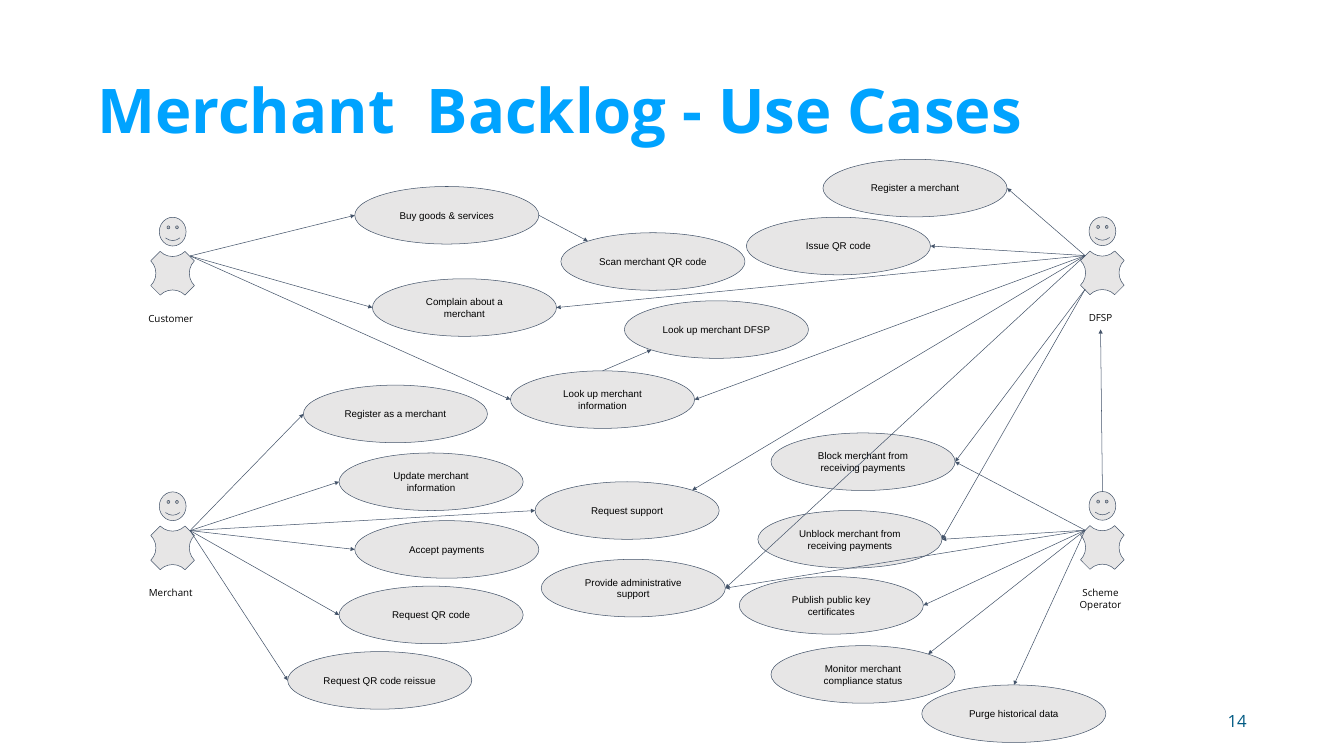
from math import cos, pi, sin

from lxml import etree
from pptx import Presentation
from pptx.dml.color import RGBColor
from pptx.enum.shapes import MSO_CONNECTOR, MSO_SHAPE
from pptx.enum.text import MSO_ANCHOR, MSO_AUTO_SIZE, PP_ALIGN
from pptx.oxml.ns import qn
from pptx.util import Cm, Pt

STRAIGHT = MSO_CONNECTOR.STRAIGHT
OVAL, SMILEY, PLAQUE = MSO_SHAPE.OVAL, MSO_SHAPE.SMILEY_FACE, MSO_SHAPE.PLAQUE
TOP, MIDDLE = MSO_ANCHOR.TOP, MSO_ANCHOR.MIDDLE
LEFT, CENTER, RIGHT = PP_ALIGN.LEFT, PP_ALIGN.CENTER, PP_ALIGN.RIGHT
GROW = MSO_AUTO_SIZE.SHAPE_TO_FIT_TEXT

INK, GREY, SLATE, BLUE, TEAL = "000000", "E7E6E6", "44546A", "00A3FF", "005A83"
CASE_W, CASE_H = 9.28, 2.9
HEAD_X, HEAD_W, HEAD_H = 1.35, 1.35, 1.45
BODY_X, BODY_Y, BODY_SIZE = 0.8, 1.6, 2.44
LABEL_Y, LABEL_W = 4.55, 3.86
HAND_Y, HIP_Y = 1.95, 3.65
LEFT_HAND_X, RIGHT_HAND_X = 2.9, 1.15

OVAL_SITES = ["top", "top left", "left", "bottom left",
              "bottom", "bottom right", "right", "top right"]

ACTORS = {
    "Customer": (6.68, 10.95, 1.12),
    "Merchant": (6.68, 24.79, 1.12),
    "DFSP": (53.54, 10.93, 1.12),
    "Scheme Operator": (53.54, 24.77, 1.7),
}

USE_CASES = {
    "Buy goods & services": (17.88, 9.4),
    "Scan merchant QR code": (28.27, 11.73),
    "Complain about a merchant": (18.77, 14.05),
    "Look up merchant information": (25.73, 18.69),
    "Look up merchant DFSP": (31.47, 15.16),
    "Register as a merchant": (15.29, 19.41),
    "Update merchant information": (17.09, 22.83),
    "Accept payments": (17.88, 26.24),
    "Request QR code": (17.09, 29.54),
    "Request QR code reissue": (14.5, 32.84),
    "Register a merchant": (41.48, 8.03),
    "Issue QR code": (37.62, 10.95),
    "Block merchant from receiving payments": (38.86, 21.82),
    "Unblock merchant from receiving payments": (38.2, 25.73),
    "Request support": (26.97, 24.28),
    "Provide administrative support": (27.28, 28.19),
    "Publish public key certificates": (37.26, 29.06),
    "Monitor merchant compliance status": (38.86, 32.54),
    "Purge historical data": (46.46, 34.52),
}

ACTOR_LINKS = [
    ("Customer", LEFT_HAND_X, HAND_Y, [
        ("Buy goods & services", "left"),
        ("Complain about a merchant", "left"),
        ("Look up merchant information", "left")]),
    ("Merchant", LEFT_HAND_X, HAND_Y, [
        ("Register as a merchant", "left"),
        ("Update merchant information", "left"),
        ("Accept payments", "left"),
        ("Request QR code", "left"),
        ("Request QR code reissue", "left"),
        ("Request support", "left")]),
    ("DFSP", RIGHT_HAND_X, HAND_Y, [
        ("Register a merchant", "right"),
        ("Issue QR code", "right"),
        ("Complain about a merchant", "right"),
        ("Look up merchant information", "right"),
        ("Request support", "top right"),
        ("Provide administrative support", "right")]),
    ("DFSP", RIGHT_HAND_X, HIP_Y, [
        ("Block merchant from receiving payments", "right"),
        ("Unblock merchant from receiving payments", "right")]),
    ("Scheme Operator", RIGHT_HAND_X, HAND_Y, [
        ("Block merchant from receiving payments", "right"),
        ("Unblock merchant from receiving payments", "right"),
        ("Publish public key certificates", "right"),
        ("Monitor merchant compliance status", "top right"),
        ("Purge historical data", "top"),
        ("Provide administrative support", "right")]),
]

CASE_LINKS = [
    ("Buy goods & services", "right", "Scan merchant QR code", "top left"),
    ("Look up merchant information", "top", "Look up merchant DFSP", "bottom left"),
]


def color(hex_string):
    return RGBColor.from_string(hex_string)


def write(shape, text, size=14, font="Open Sans", ink=INK, bold=False,
          align=CENTER, anchor=TOP, inset_y=0.25, spacing=1.0):
    frame = shape.text_frame
    frame.word_wrap = True
    frame.vertical_anchor = anchor
    frame.margin_left = frame.margin_right = Cm(0.25)
    frame.margin_top = frame.margin_bottom = Cm(inset_y)
    paragraph = frame.paragraphs[0]
    paragraph.alignment = align
    paragraph.line_spacing = spacing
    run = paragraph.add_run()
    run.text = text
    run.font.size = Pt(size)
    run.font.name = font
    run.font.bold = bold
    run.font.color.rgb = color(ink)


def add_text(slide, text, x, y, w, h, **style):
    box = slide.shapes.add_textbox(Cm(x), Cm(y), Cm(w), Cm(h))
    write(box, text, **style)
    return box


def add_figure(slide, preset, x, y, w, h):
    figure = slide.shapes.add_shape(preset, Cm(x), Cm(y), Cm(w), Cm(h))
    figure.shadow.inherit = False
    figure.fill.solid()
    figure.fill.fore_color.rgb = color(GREY)
    figure.line.color.rgb = color(SLATE)
    figure.line.width = Pt(0.75)
    return figure


def add_actor(slide, name, x, y, label_h):
    head = add_figure(slide, SMILEY, x + HEAD_X, y, HEAD_W, HEAD_H)
    head.adjustments[0] = 0.047
    body = add_figure(slide, PLAQUE, x + BODY_X, y + BODY_Y, BODY_SIZE, BODY_SIZE)
    body.adjustments[0] = 0.362
    body.rotation = 315
    label = add_text(slide, name, x, y + LABEL_Y, LABEL_W, label_h)
    label.text_frame.auto_size = GROW
    return head, label


def add_use_case(slide, name, x, y):
    use_case = add_figure(slide, OVAL, x, y, CASE_W, CASE_H)
    write(use_case, name, font="Arial", anchor=MIDDLE)
    return use_case


def oval_point(name, site):
    x, y = USE_CASES[name]
    angle = pi / 2 + OVAL_SITES.index(site) * pi / 4
    return x + CASE_W / 2 * (1 + cos(angle)), y + CASE_H / 2 * (1 - sin(angle))


def add_arrow(slide, start, end):
    arrow = slide.shapes.add_connector(STRAIGHT, *[Cm(v) for v in (*start, *end)])
    arrow.line.color.rgb = color(SLATE)
    arrow.line.width = Pt(0.75)
    etree.SubElement(arrow.line._get_or_add_ln(), qn("a:tailEnd"), type="triangle")
    etree.SubElement(arrow._element.spPr, qn("a:effectLst"))
    return arrow


def glue(arrow, tag, use_case, site):
    properties = arrow._element.find(f".//{qn('p:cNvCxnSpPr')}")
    etree.SubElement(properties, qn(tag), id=str(use_case.shape_id),
                     idx=str(OVAL_SITES.index(site)))


def main():
    deck = Presentation()
    deck.slide_width, deck.slide_height = Cm(67.74), Cm(38.1)
    slide = deck.slides.add_slide(deck.slide_layouts[6])

    add_text(slide, "Merchant  Backlog - Use Cases", 4.65, 2.03, 52.43, 7.37, size=88,
             ink=BLUE, bold=True, align=LEFT, anchor=MIDDLE, inset_y=0.13, spacing=0.9)
    add_text(slide, "14", 47.85, 35.31, 15.24, 2.03, size=24, ink=TEAL,
             align=RIGHT, anchor=MIDDLE, inset_y=0.13)

    actors = {name: add_actor(slide, name, *place) for name, place in ACTORS.items()}
    cases = {name: add_use_case(slide, name, *place) for name, place in USE_CASES.items()}

    for source, source_site, target, site in CASE_LINKS:
        arrow = add_arrow(slide, oval_point(source, source_site), oval_point(target, site))
        glue(arrow, "a:stCxn", cases[source], source_site)
        glue(arrow, "a:endCxn", cases[target], site)

    for actor, dx, dy, targets in ACTOR_LINKS:
        x, y, _ = ACTORS[actor]
        for target, site in targets:
            arrow = add_arrow(slide, (x + dx, y + dy), oval_point(target, site))
            glue(arrow, "a:endCxn", cases[target], site)

    escalation = add_arrow(slide, (55.56, 24.77), (55.47, 16.6))
    escalation.begin_connect(actors["Scheme Operator"][0], 0)
    escalation.end_connect(actors["DFSP"][1], 2)

    deck.save("out.pptx")


if __name__ == "__main__":
    main()
